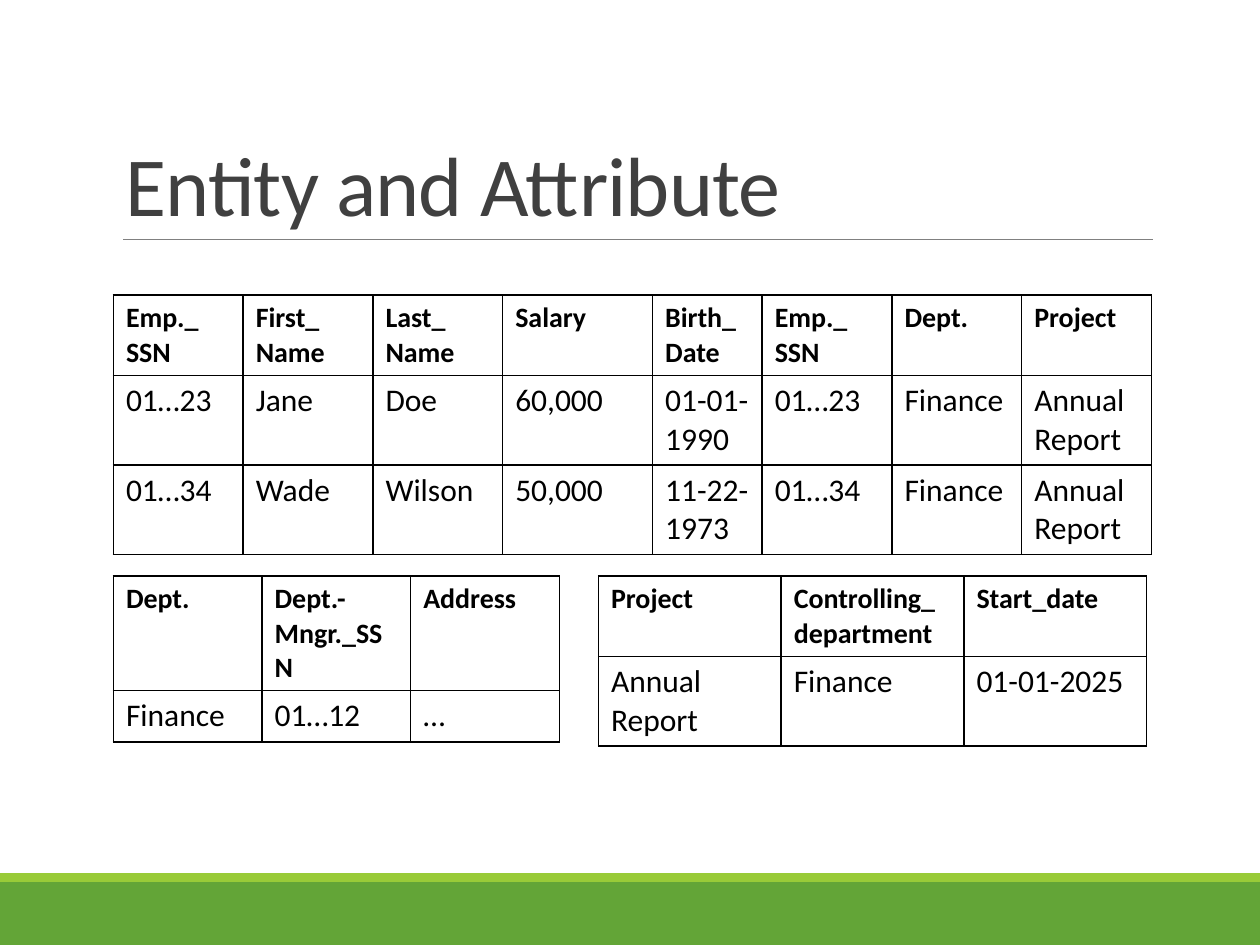
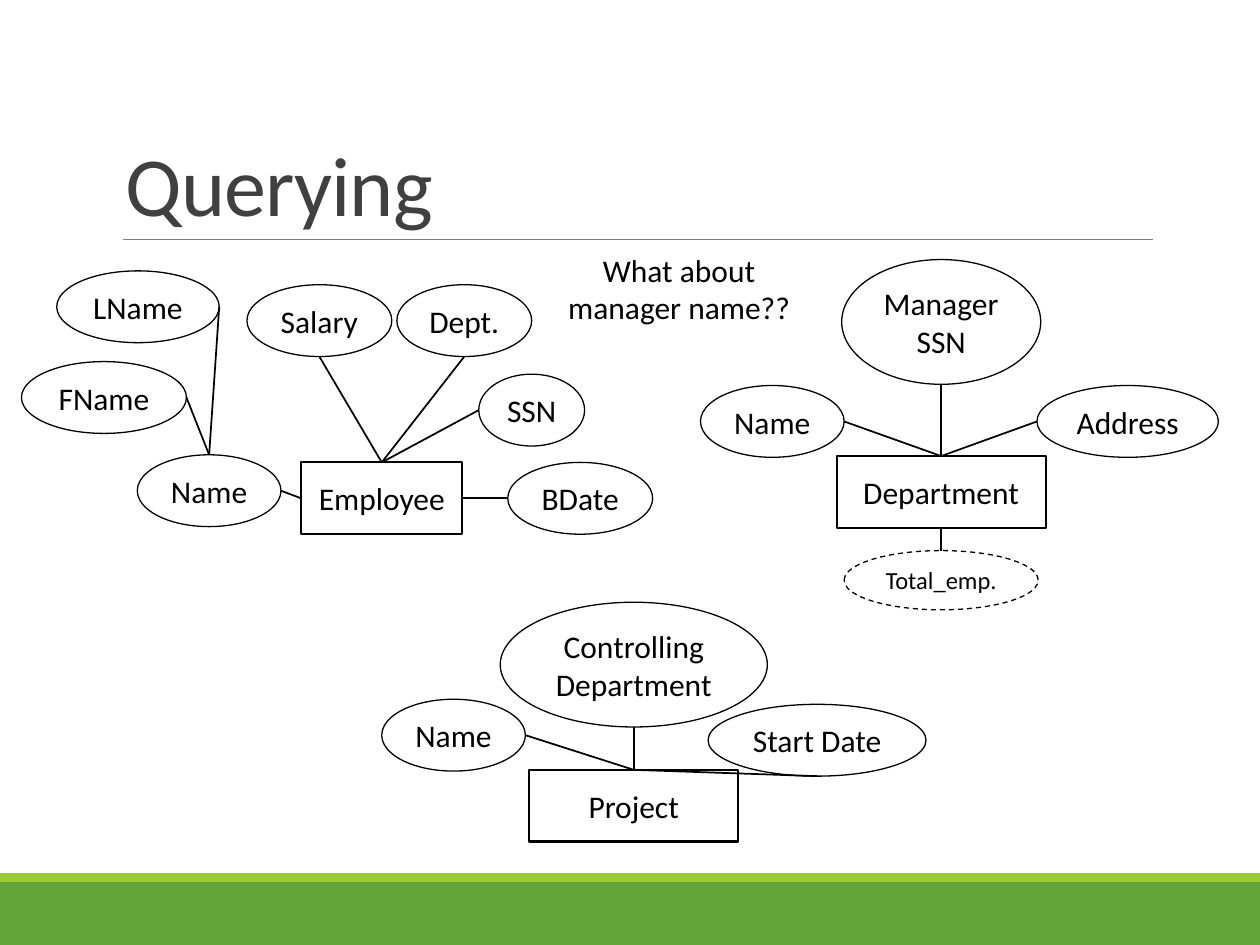
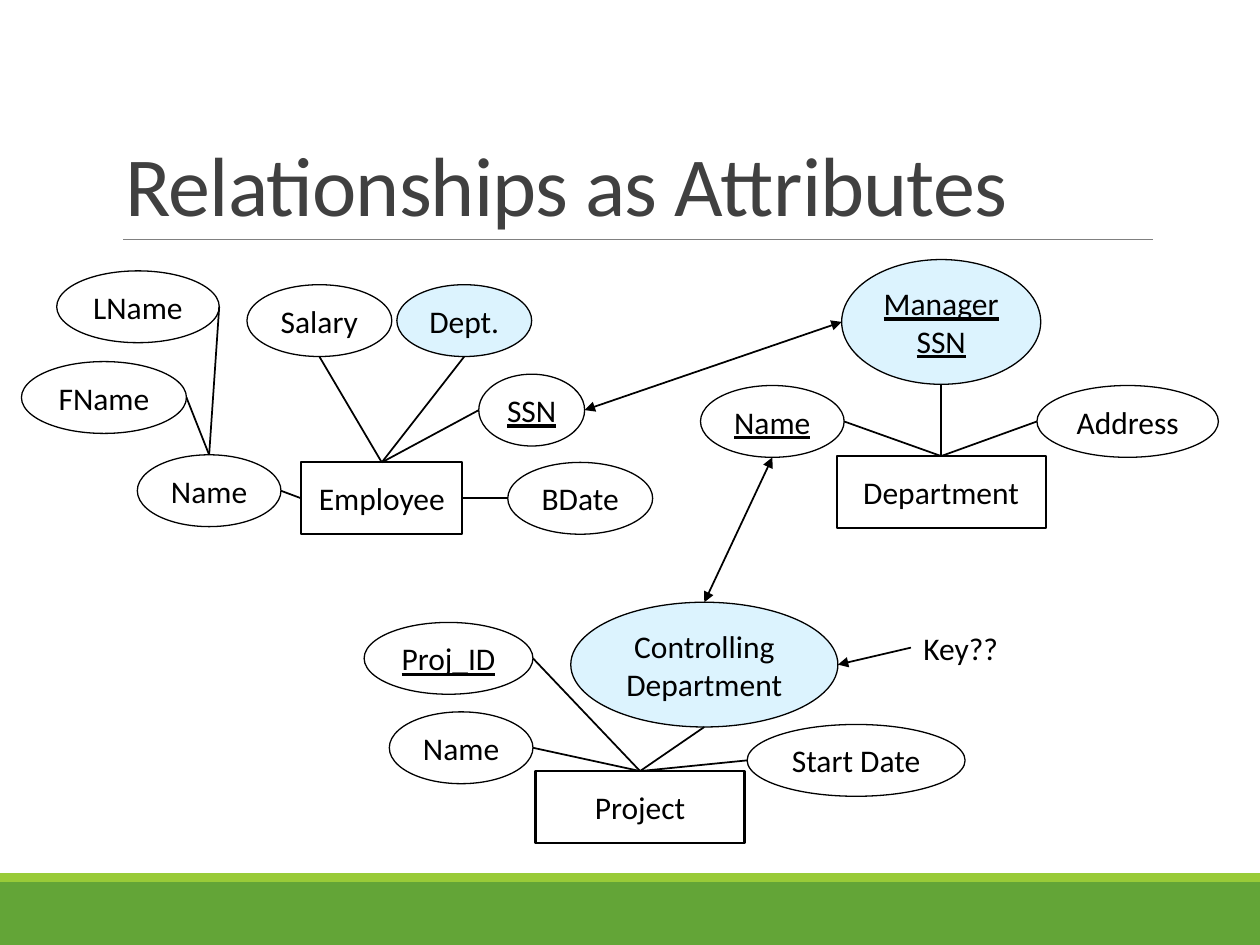
"""Build three slides that show entities, attributes and relationships."""
from lxml import etree
from pptx import Presentation
from pptx.dml.color import RGBColor
from pptx.enum.dml import MSO_LINE
from pptx.enum.shapes import MSO_CONNECTOR, MSO_SHAPE
from pptx.enum.text import MSO_ANCHOR, PP_ALIGN
from pptx.oxml.ns import qn
from pptx.util import Inches, Pt

RECTANGLE = MSO_SHAPE.RECTANGLE
ELLIPSE = MSO_SHAPE.OVAL
STRAIGHT = MSO_CONNECTOR.STRAIGHT
DASH = MSO_LINE.DASH
LEFT = PP_ALIGN.LEFT
CENTER = PP_ALIGN.CENTER
TOP = MSO_ANCHOR.TOP
MIDDLE = MSO_ANCHOR.MIDDLE
BOTTOM = MSO_ANCHOR.BOTTOM

FONT = "Calibri"
COLORS = {
    "band": "63A537",
    "stripe": "99CB38",
    "rule": "808080",
    "title": "404040",
    "ink": "000000",
    "highlight": "DCF3FE",
}
SIDES = {"top": (0.5, 0), "left": (0, 0.5), "bottom": (0.5, 1), "right": (1, 0.5)}
NODE_HEIGHT = 0.57

EMPLOYEE_NODES = {
    "lname": ("LName", 0.45, 2.15, 1.29),
    "ssn": ("SSN", 3.8, 2.97, 0.84),
    "fname": ("FName", 0.17, 2.87, 1.31),
    "dept": ("Dept.", 3.15, 2.26, 1.07),
    "salary": ("Salary", 1.96, 2.26, 1.15),
    "bdate": ("BDate", 4.03, 3.67, 1.15),
    "employee name": ("Name", 1.09, 3.61, 1.14),
}
DEPARTMENT_NODES = {
    "department name": ("Name", 5.56, 3.06, 1.14),
    "address": ("Address", 8.23, 3.06, 1.44),
    "manager": ("Manager\nSSN", 6.68, 2.06, 1.58, 0.99),
}
COMMON_ENTITIES = {
    "employee": ("Employee", 2.39, 3.67, 1.28),
    "department": ("Department", 6.64, 3.62, 1.66),
}
COMMON_LINKS = [
    ("employee", "left", "employee name", "right"),
    ("employee name", "top", "lname", "right"),
    ("employee name", "top", "fname", "right"),
    ("employee", "top", "salary", "bottom"),
    ("employee", "top", "dept", "bottom"),
    ("employee", "top", "ssn", "left"),
    ("employee", "right", "bdate", "left"),
    ("department", "top", "manager", "bottom"),
    ("department", "top", "address", "left"),
    ("department", "top", "department name", "right"),
]


def rgb(name):
    return RGBColor.from_string(COLORS[name])


class Deck:
    def __init__(self):
        self.presentation = Presentation()
        self.presentation.slide_width = Inches(10)
        self.presentation.slide_height = Inches(7.5)
        self.slide = None
        self.nodes = {}

    def new_slide(self, title):
        self.slide = self.presentation.slides.add_slide(self.presentation.slide_layouts[6])
        self.nodes = {}
        self.band("band", 7, 0.5)
        self.band("stripe", 6.93, 0.07)
        self.line((Inches(0.98), Inches(1.9)), (Inches(9.15), Inches(1.9)), "rule", 0.5)
        box = self.text(title, 0.9, 0.31, 8.25, 1.59, size=48, color="title", anchor=BOTTOM)
        paragraph = box.text_frame.paragraphs[0]
        paragraph.line_spacing = 0.85
        paragraph.runs[0].font._element.set("spc", "-50")

    def band(self, color, top, height):
        shape = self.slide.shapes.add_shape(
            RECTANGLE, 0, Inches(top), Inches(10), Inches(height))
        shape.shadow.inherit = False
        shape.fill.solid()
        shape.fill.fore_color.rgb = rgb(color)
        shape.line.fill.background()

    def set_text(self, text_frame, text, size=18, color="ink", align=LEFT,
                 bold=False, underline=False):
        text_frame.text = text
        for paragraph in text_frame.paragraphs:
            paragraph.alignment = align
            for run in paragraph.runs:
                run.font.name = FONT
                run.font.size = Pt(size)
                run.font.bold = bold
                run.font.underline = underline
                run.font.color.rgb = rgb(color)

    def text(self, text, left, top, width, height, anchor=TOP, wrap=True, **style):
        box = self.slide.shapes.add_textbox(
            Inches(left), Inches(top), Inches(width), Inches(height))
        box.text_frame.word_wrap = wrap
        box.text_frame.vertical_anchor = anchor
        self.set_text(box.text_frame, text, **style)
        return box

    def node(self, key, text, left, top, width, height=NODE_HEIGHT, kind=ELLIPSE,
             weight=0.75, wrap=False, highlight=False, dashed=False, **style):
        shape = self.slide.shapes.add_shape(
            kind, Inches(left), Inches(top), Inches(width), Inches(height))
        shape.shadow.inherit = False
        if highlight:
            shape.fill.solid()
            shape.fill.fore_color.rgb = rgb("highlight")
        else:
            shape.fill.background()
        shape.line.color.rgb = rgb("ink")
        shape.line.width = Pt(weight)
        if dashed:
            shape.line.dash_style = DASH
        shape.text_frame.word_wrap = wrap
        shape.text_frame.vertical_anchor = MIDDLE
        self.set_text(shape.text_frame, text, align=CENTER, **style)
        self.nodes[key] = shape

    def line(self, start, end, color="ink", weight=1, arrows=()):
        connector = self.slide.shapes.add_connector(STRAIGHT, *start, *end)
        connector.line.color.rgb = rgb(color)
        connector.line.width = Pt(weight)
        properties = connector._element.spPr
        outline = properties.find(qn("a:ln"))
        for arrow in arrows:
            etree.SubElement(outline, qn(f"a:{arrow}"), type="triangle")
        etree.SubElement(properties, qn("a:effectLst"))

    def anchor_point(self, key, side):
        shape = self.nodes[key]
        across, down = SIDES[side]
        return int(shape.left + across * shape.width), int(shape.top + down * shape.height)

    def link(self, start, start_side, end, end_side, arrows=()):
        self.line(self.anchor_point(start, start_side),
                  self.anchor_point(end, end_side), arrows=arrows)

    def diagram(self, entities, attributes, links, keys=(), highlighted=()):
        for key, place in entities.items():
            self.node(key, *place, kind=RECTANGLE, weight=1.25)
        for key, place in attributes.items():
            self.node(key, *place, wrap=key == "controlling",
                      highlight=key in highlighted, underline=key in keys)
        for link in COMMON_LINKS + links:
            self.link(*link)

    def table(self, left, top, widths, heights, rows):
        frame = self.slide.shapes.add_table(
            len(rows), len(widths), Inches(left), Inches(top),
            Inches(sum(widths)), Inches(sum(heights)))
        table = frame.table
        table.first_row = False
        table.horz_banding = False
        for column, width in zip(table.columns, widths):
            column.width = Inches(width)
        for index, (values, height) in enumerate(zip(rows, heights)):
            table.rows[index].height = Inches(height)
            header = index == 0
            for cell, value in zip(table.rows[index].cells, values):
                self.set_text(cell.text_frame, value, size=16 if header else 18, bold=header)
                cell.fill.background()
                self.cell_borders(cell)

    def cell_borders(self, cell):
        properties = cell._tc.get_or_add_tcPr()
        for position, edge in enumerate(("lnL", "lnR", "lnT", "lnB")):
            border = etree.Element(qn(f"a:{edge}"), w=str(Pt(1)))
            fill = etree.SubElement(border, qn("a:solidFill"))
            etree.SubElement(fill, qn("a:srgbClr"), val=COLORS["ink"])
            properties.insert(position, border)


def build_tables(deck):
    deck.new_slide("Entity and Attribute")
    deck.table(0.9, 2.34, [1.03, 1.03, 1.03, 1.19, 0.87, 1.03, 1.03, 1.03],
               [0.64, 0.71, 0.71], [
        ["Emp._\nSSN", "First_\nName", "Last_\nName", "Salary",
         "Birth_\nDate", "Emp._\nSSN", "Dept.", "Project"],
        ["01…23", "Jane", "Doe", "60,000", "01-01-1990", "01…23", "Finance", "Annual Report"],
        ["01…34", "Wade", "Wilson", "50,000", "11-22-1973", "01…34", "Finance", "Annual Report"],
    ])
    deck.table(0.9, 4.57, [1.18] * 3, [0.91, 0.41], [
        ["Dept.", "Dept.-Mngr._SSN", "Address"],
        ["Finance", "01…12", "…"],
    ])
    deck.table(4.75, 4.57, [1.45] * 3, [0.64, 0.71], [
        ["Project", "Controlling_\ndepartment", "Start_date"],
        ["Annual Report", "Finance", "01-01-2025"],
    ])


def build_querying(deck):
    deck.new_slide("Querying")
    project_nodes = {
        "controlling": ("Controlling Department", 3.97, 4.78, 2.12, 0.99),
        "start date": ("Start Date", 5.62, 5.59, 1.73),
        "project name": ("Name", 3.03, 5.55, 1.14),
    }
    deck.diagram(
        COMMON_ENTITIES | {"project": ("Project", 4.2, 6.11, 1.66)},
        EMPLOYEE_NODES | DEPARTMENT_NODES | project_nodes,
        [("project", "top", "controlling", "bottom"),
         ("project", "top", "start date", "bottom"),
         ("project", "top", "project name", "right")])
    deck.node("total", "Total_emp.", 6.7, 4.37, 1.54, 0.47, dashed=True, size=14)
    deck.link("total", "top", "department", "bottom")
    deck.text("What about manager name??", 4.37, 1.94, 2.04, 0.71, align=CENTER)


def build_relationships(deck):
    deck.new_slide("Relationships as Attributes")
    project_nodes = {
        "controlling": ("Controlling Department", 4.53, 4.78, 2.12, 0.99),
        "start date": ("Start Date", 5.93, 5.75, 1.73),
        "project name": ("Name", 3.09, 5.65, 1.14),
        "project id": ("Proj_ID", 2.89, 4.94, 1.34),
    }
    deck.diagram(
        COMMON_ENTITIES | {"project": ("Project", 4.25, 6.12, 1.66)},
        EMPLOYEE_NODES | DEPARTMENT_NODES | project_nodes,
        [("project", "top", "controlling", "bottom"),
         ("project", "top", "start date", "left"),
         ("project", "top", "project name", "right"),
         ("project", "top", "project id", "right")],
        keys=("ssn", "department name", "manager", "project id"),
        highlighted=("dept", "manager", "controlling"))
    both_ends = ("headEnd", "tailEnd")
    deck.link("ssn", "right", "manager", "left", both_ends)
    deck.link("controlling", "top", "department name", "bottom", both_ends)
    deck.nodes["question"] = deck.text("Key??", 7.23, 4.94, 0.8, 0.4, wrap=False)
    deck.link("question", "left", "controlling", "right", ("tailEnd",))


def main():
    deck = Deck()
    build_tables(deck)
    build_querying(deck)
    build_relationships(deck)
    deck.presentation.save("out.pptx")


if __name__ == "__main__":
    main()
